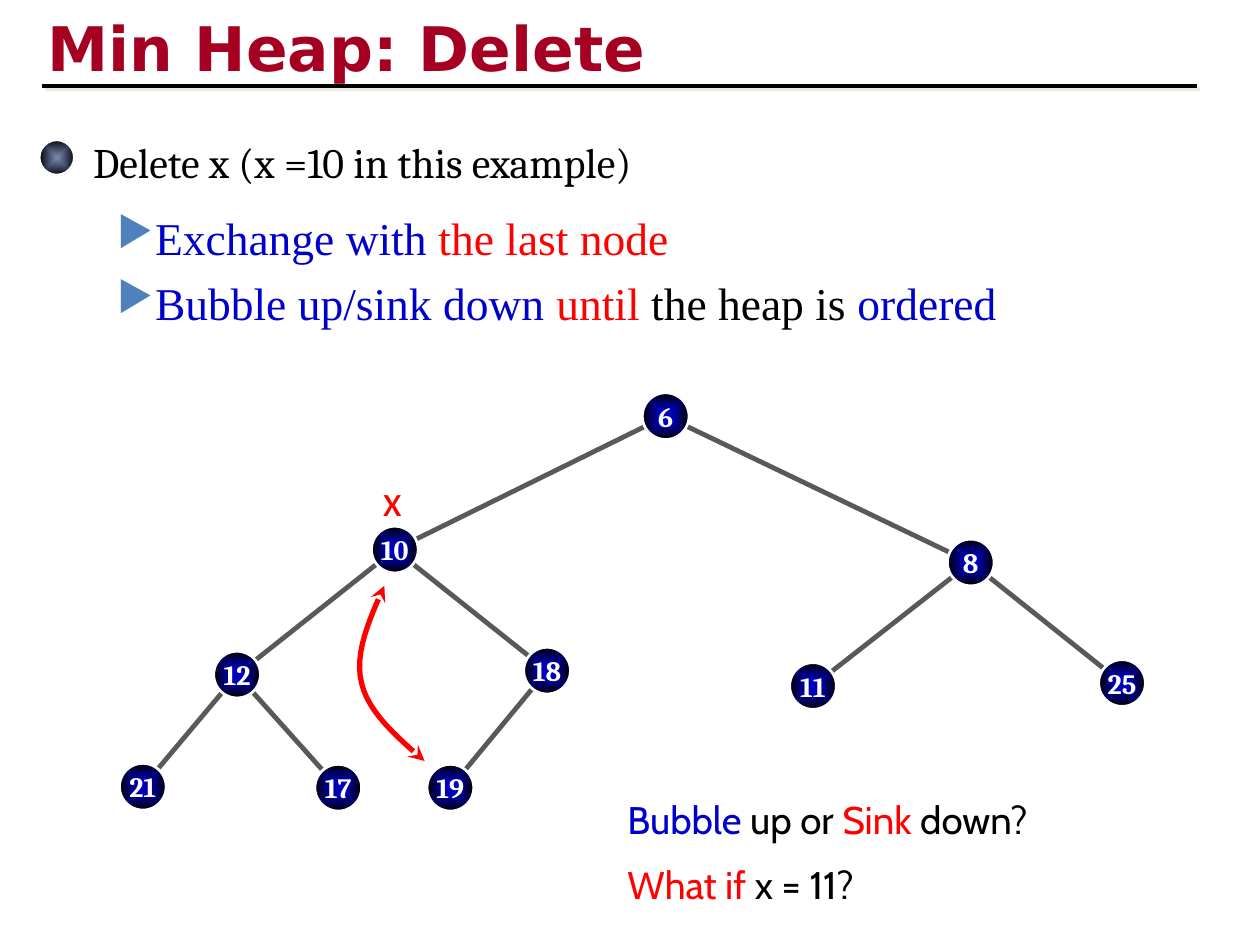
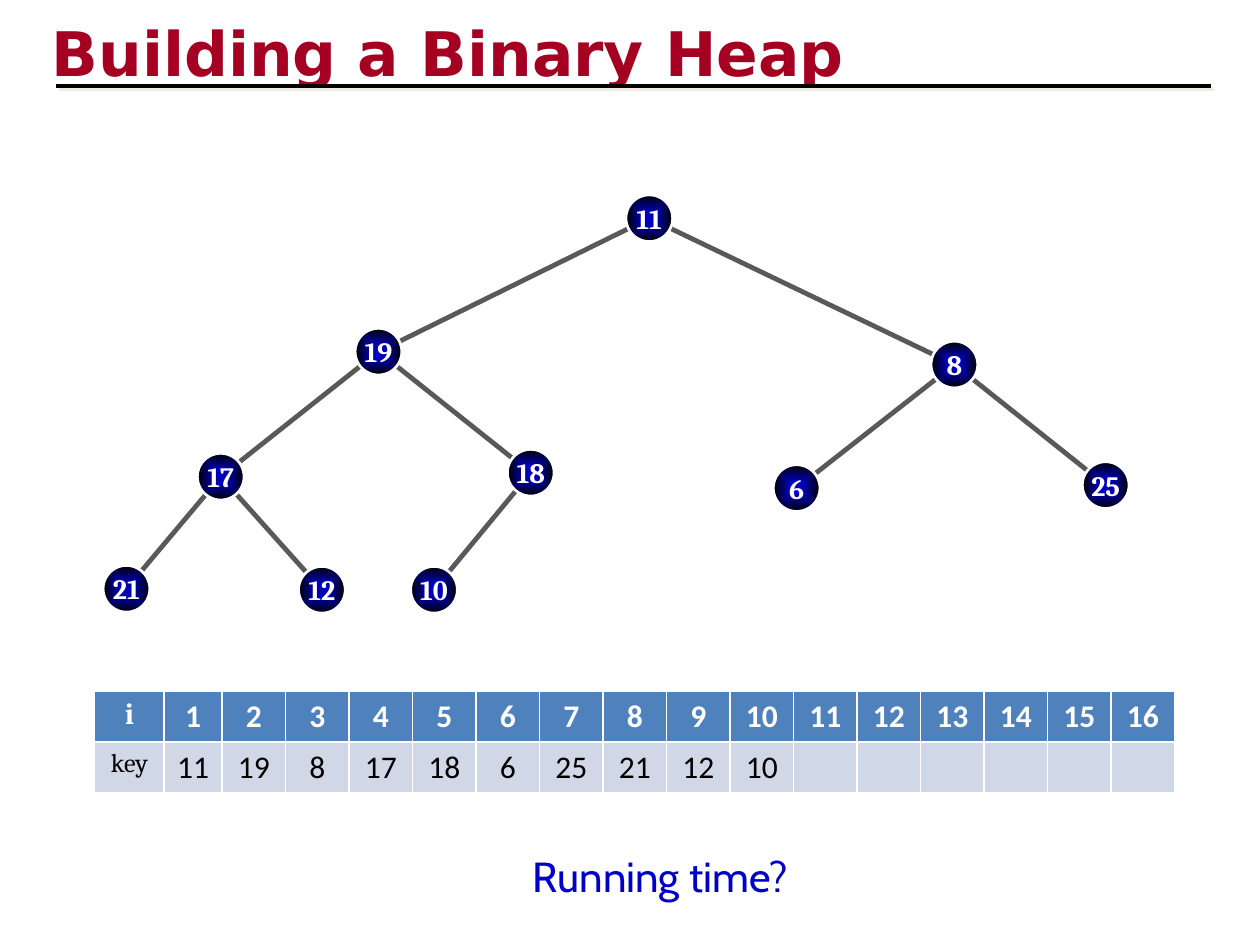
from lxml.etree import SubElement as Sub
from pptx import Presentation
from pptx.dml.color import RGBColor as RGB
from pptx.enum.shapes import MSO_CONNECTOR as Link, MSO_SHAPE as Shape
from pptx.enum.text import MSO_ANCHOR as Anchor, MSO_AUTO_SIZE as Auto, PP_ALIGN as Align
from pptx.oxml.ns import qn
from pptx.util import Cm, Pt

HUES = {
    "title": "A50021", "shade": "EEECE1", "black": "000000", "white": "FFFFFF",
    "blue": "0000CC", "red": "FF0000", "edge": "595959", "navy": "002060",
    "head": "4F81BD", "body": "D0D8E8",
}
# Gradient stops: position in percent, colour, opacity in percent
GLOW = [(0, HUES["blue"], 100), (6, "0000C0", 100), (10, "0000B7", 100),
        (16, "0000AB", 100), (21, HUES["blue"], 100), (100, HUES["black"], 100)]
DOT = [(0, HUES["navy"], 51), (100, HUES["black"], 100)]

# Node centres in level order, in cm from the corner of the tree
SPOTS = [(11.01, 0.47), (5.55, 3.16), (17.16, 3.42), (2.37, 5.68), (8.62, 5.6),
         (13.98, 5.91), (20.21, 5.85), (0.47, 7.94), (4.41, 7.96), (6.67, 7.96)]
SIZE = 0.94


def hue(name):
    return RGB.from_string(HUES[name])


def style(font, size, face, name, bold=False):
    font.size, font.name, font.bold = Pt(size), face, bold
    font.color.rgb = hue(name)


def write(par, parts, size, face, bold=False):
    """Fill a paragraph with (text, colour) parts."""
    for text, name in parts:
        run = par.add_run()
        run.text = text
        style(run.font, size, face, name, bold)


def label(slide, box, parts, size, face):
    frame = slide.shapes.add_textbox(*map(Cm, box)).text_frame
    frame.word_wrap = True
    write(frame.paragraphs[0], parts, size, face)
    return frame


def shade(effects):
    """Add a pale shadow down to the right."""
    cast = Sub(effects, qn("a:outerShdw"), dist="35560", dir="2700000",
               algn="ctr", rotWithShape="0")
    Sub(cast, qn("a:srgbClr"), val=HUES["shade"])


def line(slide, start, end, name, width):
    """Draw a straight line and return its empty effect list."""
    link = slide.shapes.add_connector(Link.STRAIGHT, *map(Cm, (*start, *end)))
    link.line.color.rgb = hue(name)
    link.line.width = Pt(width)
    return Sub(link._element.spPr, qn("a:effectLst"))


def ball(slide, left, top, size, stops):
    """Draw a circle with a glow from its middle."""
    disc = slide.shapes.add_shape(Shape.OVAL, *map(Cm, (left, top, size, size)))
    disc.shadow.inherit = False
    disc.line.color.rgb = hue("white")
    disc.line.width = Pt(1.5)
    disc.fill.gradient()
    grad = disc._element.spPr.find(qn("a:gradFill"))
    for part in list(grad):
        grad.remove(part)
    row = Sub(grad, qn("a:gsLst"))
    for place, tint, alpha in stops:
        stop = Sub(row, qn("a:gs"), pos=str(place * 1000))
        color = Sub(stop, qn("a:srgbClr"), val=tint)
        if alpha < 100:
            Sub(color, qn("a:alpha"), val=str(alpha * 1000))
    way = Sub(grad, qn("a:path"), path="shape")
    Sub(way, qn("a:fillToRect"), l="50000", t="50000", r="50000", b="50000")
    return disc


def header(deck, text, left, top, start):
    """Add a slide with its title and the rule below it."""
    slide = deck.slides.add_slide(deck.slide_layouts[5])
    title = slide.shapes.title
    title.left, title.top, title.width, title.height = map(Cm, (left, top, 21.59, 1.7))
    frame = title.text_frame
    frame.text = text
    frame.auto_size = Auto.NONE
    frame.vertical_anchor = Anchor.BOTTOM
    frame.margin_bottom = Cm(0.03)
    par = frame.paragraphs[0]
    par.alignment = Align.LEFT
    run = par.runs[0]
    style(run.font, 35.1, "DejaVu Sans", "title", True)
    fill = run._r.rPr.find(qn("a:solidFill"))
    effects = Sub(run._r.rPr, qn("a:effectLst"))
    fill.addnext(effects)
    shade(effects)
    shade(line(slide, (start, 1.73), (start + 23.29, 1.73), "black", 2.25))
    return slide


def tree(slide, left, top, keys):
    """Draw a heap: node i hangs from node (i - 1) // 2."""
    spots = [(left + x, top + y) for x, y in SPOTS]
    for i in range(1, len(keys)):
        line(slide, spots[i], spots[(i - 1) // 2], "edge", 2.75)
    for (x, y), key in zip(spots, keys):
        node = ball(slide, x - SIZE / 2, y - SIZE / 2, SIZE, GLOW)
        frame = node.text_frame
        frame.word_wrap = False
        frame.vertical_anchor = Anchor.MIDDLE
        frame.text = str(key)
        par = frame.paragraphs[0]
        par.alignment = Align.CENTER
        style(par.runs[0].font, 16, "Cambria", "white", True)


def steps(slide, left, top):
    """Write the task and its two steps."""
    ball(slide, left, top + 0.2, 0.71, DOT)
    label(slide, (left + 0.84, top, 17.5, 1.27),
          [("Delete x (x =10 in this example)", "black")], 24, "Cambria")
    rows = [
        [("Exchange with ", "blue"), ("the last node", "red")],
        [("Bubble up/sink down ", "blue"), ("until", "red"),
         (" the heap is ", "black"), ("ordered", "blue")],
    ]
    frame = label(slide, (left + 1.32, top + 1.48, 23.1, 2.77), [], 26, "Times New Roman")
    for i, parts in enumerate(rows):
        par = frame.add_paragraph() if i else frame.paragraphs[0]
        if i:
            par.space_before = Pt(6)
        props = par._p.get_or_add_pPr()
        props.set("marL", str(Cm(0.76)))
        props.set("indent", str(-Cm(0.76)))
        Sub(Sub(props, qn("a:buClr")), qn("a:srgbClr"), val=HUES["head"])
        Sub(props, qn("a:buSzPct"), val="90000")
        Sub(props, qn("a:buChar"), char="▶")
        write(par, parts, 26, "Times New Roman")


def swap(slide, left, top):
    """Draw the curved double arrow between the two exchanged nodes."""
    bends = [[(1.27, 3.53), (0.71, 3.05), (0.13, 2.54), (0, 1.96)],
             [(0, 1.96), (-0.15, 1.37), (0.15, 0.69), (0.46, 0)]]
    dots = []
    for bend in bends:
        for step in range(13):
            t = step / 12
            mix = ((1 - t) ** 3, 3 * t * (1 - t) ** 2, 3 * t * t * (1 - t), t ** 3)
            x, y = (sum(m * p[k] for m, p in zip(mix, bend)) for k in (0, 1))
            dots.append((Cm(left + x), Cm(top + y)))
    pen = slide.shapes.build_freeform(*dots[0])
    pen.add_line_segments(dots[1:], close=False)
    curve = pen.convert_to_shape()
    curve.shadow.inherit = False
    curve.fill.background()
    curve.line.color.rgb = hue("red")
    curve.line.width = Pt(3)
    stroke = curve.line._get_or_add_ln()
    for end in ("a:headEnd", "a:tailEnd"):
        Sub(stroke, qn(end), type="stealth")


def grid(slide, left, top, keys):
    """Show the heap as an array with 16 places."""
    count = 16
    wide = [1.4, 1.17] + [1.28] * (count - 1)
    table = slide.shapes.add_table(
        2, count + 1, *map(Cm, (left, top, sum(wide), 2.06))).table
    for col, width in zip(table.columns, wide):
        col.width = Cm(width)
    rows = [["i", *range(1, count + 1)],
            ["key", *keys, *[""] * (count - len(keys))]]
    looks = [("head", "white", True, 17), ("body", "black", False, 15)]
    for r, (row, (back, ink, bold, small)) in enumerate(zip(rows, looks)):
        for c, text in enumerate(row):
            cell = table.cell(r, c)
            cell.margin_left = cell.margin_right = Cm(0.1)
            cell.fill.solid()
            cell.fill.fore_color.rgb = hue(back)
            cell.text = str(text)
            par = cell.text_frame.paragraphs[0]
            par.alignment = Align.CENTER
            size, face = (18, "Calibri") if c else (small, "Cambria")
            for run in par.runs:
                style(run.font, size, face, ink, bold)


def delete(deck):
    slide = header(deck, "Min Heap: Delete", 0.71, 0.03, 0.84)
    tree(slide, 2.41, 7.92, [6, 10, 8, 12, 18, 11, 25, 21, 17, 19])
    steps(slide, 0.79, 2.62)
    label(slide, (7.47, 9.4, 1.24, 1.32), [("x", "red")], 25, "Calibri")
    swap(slide, 7.29, 11.81)
    # Questions
    asks = [[("Bubble", "blue"), (" up or ", "black"), ("Sink", "red"), (" down?", "black")],
            [("What if", "red"), (" x = 11?", "black")]]
    for i, parts in enumerate(asks):
        label(slide, (12.4, 15.93 + 1.3 * i, 10.69, 1.19), parts, 22, "Cabin")


def build(deck):
    slide = header(deck, "Building a Binary Heap", 0.79, 0.13, 1.12)
    keys = [11, 19, 8, 17, 18, 6, 25, 21, 12, 10]
    tree(slide, 2.08, 3.93, keys)
    grid(slide, 1.91, 13.93, keys)
    label(slide, (10.49, 17.02, 10.69, 1.27), [("Running time?", "blue")], 24, "Cabin")


def main():
    deck = Presentation()
    deck.slide_width, deck.slide_height = Cm(25.4), Cm(19.05)
    delete(deck)
    build(deck)
    deck.save("out.pptx")


if __name__ == "__main__":
    main()
